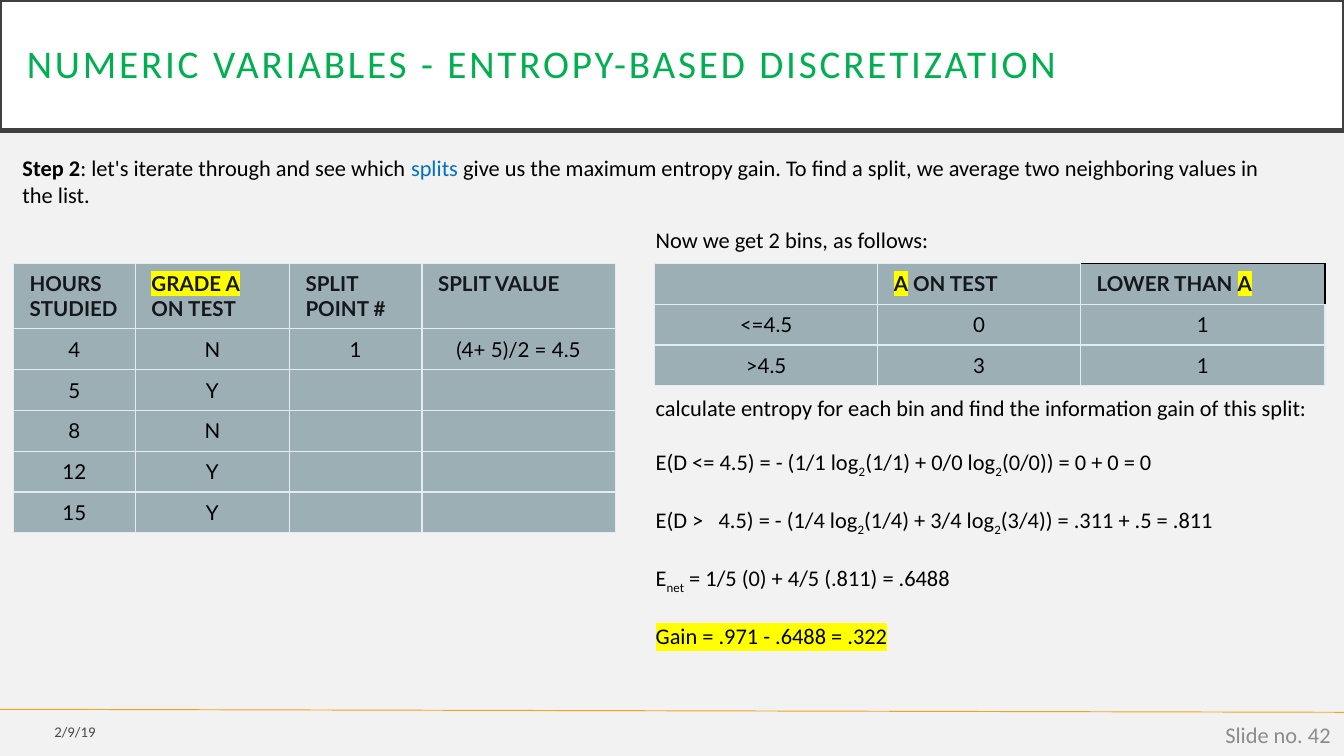
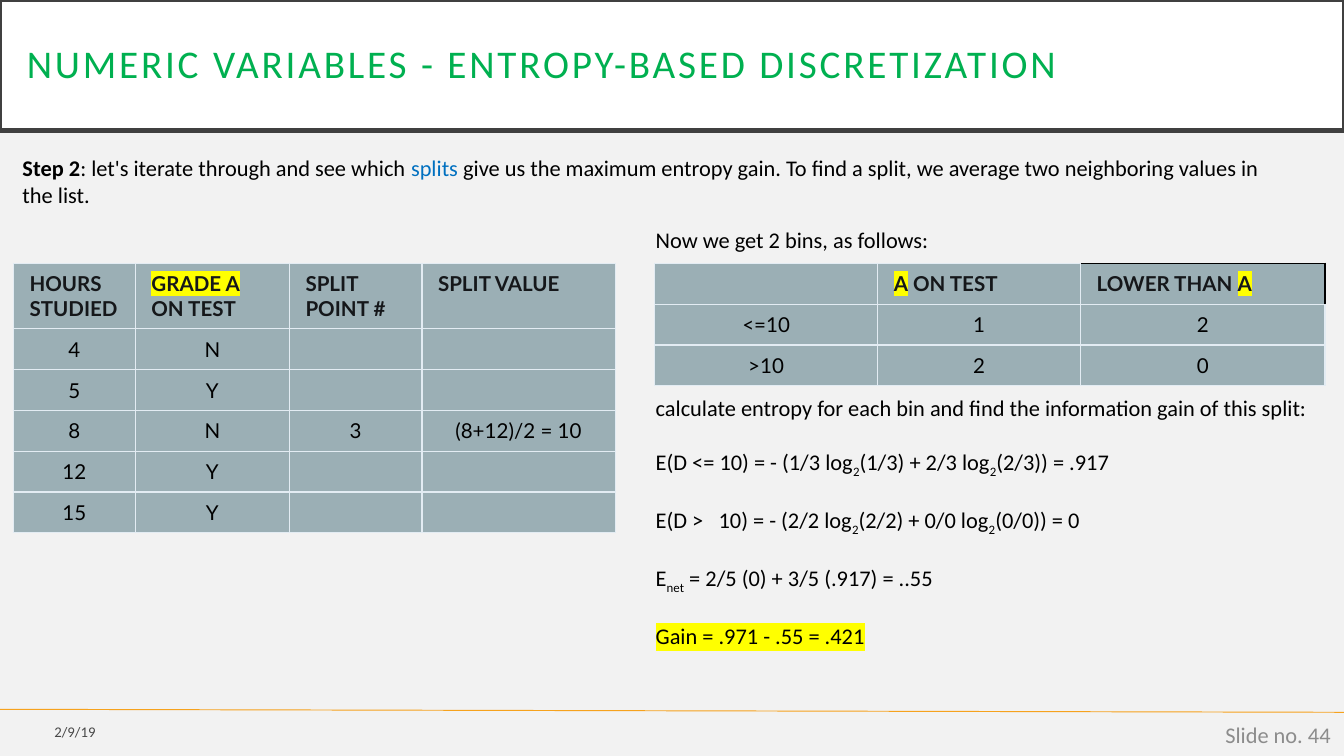
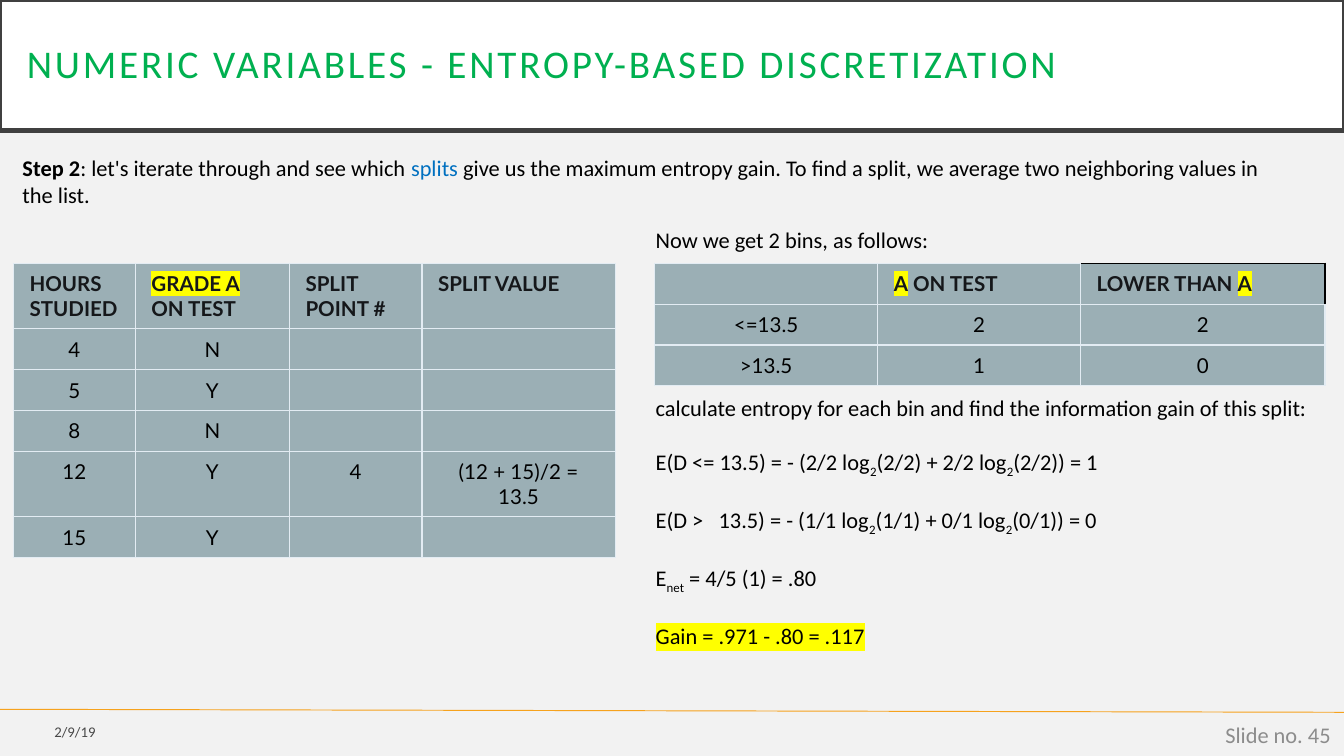
"""Builds three slides that work through entropy-based splits of numeric data."""
import lxml.etree
import pptx
import pptx.dml.color
import pptx.enum.shapes
import pptx.enum.text
import pptx.oxml.ns
import pptx.util

Pt = pptx.util.Pt
RGBColor = pptx.dml.color.RGBColor
Align = pptx.enum.text.PP_ALIGN
Anchor = pptx.enum.text.MSO_ANCHOR
Fit = pptx.enum.text.MSO_AUTO_SIZE
qn = pptx.oxml.ns.qn
Sub = lxml.etree.SubElement

PAGE = RGBColor(0xF2, 0xF2, 0xF2)
WHITE = RGBColor(0xFF, 0xFF, 0xFF)
BLACK = RGBColor(0x00, 0x00, 0x00)
FRAME = RGBColor(0x40, 0x40, 0x40)
GREEN = RGBColor(0x00, 0xB0, 0x50)
BLUE = RGBColor(0x00, 0x70, 0xC0)
AMBER = RGBColor(0xF6, 0xA2, 0x1D)
GREY = RGBColor(0x8C, 0x8C, 0x8C)
INK = RGBColor(0x15, 0x17, 0x1A)
STEEL = RGBColor(0x9B, 0xAF, 0xB5)
PALE = RGBColor(0xE3, 0xEC, 0xF3)
YELLOW = RGBColor(0xFF, 0xFF, 0x00)

BOLD = {"bold": True}
MARK = {"mark": YELLOW}
LOW = {"base": -25000}
TAB = 33.7

TITLE = "NUMERIC VARIABLES - ENTROPY-BASED DISCRETIZATION"
STEP = [
    ("Step 2", BOLD),
    (": let's iterate through and see which ", {}),
    ("splits", {"color": BLUE}),
    (" give us the maximum entropy gain. To find a split, we average two "
     "neighboring values in the list.", {}),
]
BINS = "Now we get 2 bins, as follows:"
TASK = "calculate entropy for each bin and find the information gain of this split:"
HOURS = [("4", "N"), ("5", "Y"), ("8", "N"), ("12", "Y"), ("15", "Y")]
HEAD = [
    [("HOURS STUDIED", {})],
    [("GRADE A", MARK), (" ON TEST", {})],
    [("SPLIT POINT #", {})],
    [("SPLIT VALUE", {})],
]
TOP = [
    [],
    [("A", MARK), (" ON TEST", {})],
    [("LOWER THAN ", {}), ("A", MARK)],
]
PAGES = [
    {
        "no": 42, "point": 1, "value": "(4+ 5)/2 = 4.5",
        "bins": [("<=4.5", "0", "1"), (">4.5", "3", "1")],
        "sums": ["E(D <= 4.5) = - (1/1 log_2_(1/1) + 0/0 log_2_(0/0)) = 0 + 0 = 0",
                 "E(D >\t4.5) = - (1/4 log_2_(1/4) + 3/4 log_2_(3/4)) = .311 + .5 = .811",
                 "E_net_ = 1/5 (0) + 4/5 (.811) = .6488"],
        "gain": "Gain = .971 - .6488 = .322",
    },
    {
        "no": 44, "point": 3, "value": "(8+12)/2 = 10",
        "bins": [("<=10", "1", "2"), (">10", "2", "0")],
        "sums": ["E(D <= 10) = - (1/3 log_2_(1/3) + 2/3 log_2_(2/3)) = .917",
                 "E(D >\t10) = - (2/2 log_2_(2/2) + 0/0 log_2_(0/0)) = 0",
                 "E_net_ = 2/5 (0) + 3/5 (.917) = ..55"],
        "gain": "Gain = .971 - .55 = .421",
    },
    {
        "no": 45, "point": 4, "value": "(12 + 15)/2 = 13.5",
        "bins": [("<=13.5", "2", "2"), (">13.5", "1", "0")],
        "sums": ["E(D <= 13.5) = - (2/2 log_2_(2/2) + 2/2 log_2_(2/2)) = 1",
                 "E(D >\t13.5) = - (1/1 log_2_(1/1) + 0/1 log_2_(0/1)) = 0",
                 "E_net_ = 4/5 (1) = .80"],
        "gain": "Gain = .971 - .80 = .117",
    },
]


def write(frame, paras, size=12, font="Calibri", color=BLACK, bold=False,
          align=Align.LEFT, anchor=None, gap=0, tight=None, space=None,
          alpha=None, fit=None, wrap=True):
    """Fill a text frame with paragraphs, each a list of (words, format) runs."""
    frame.word_wrap = wrap
    if anchor is not None:
        frame.vertical_anchor = anchor
    if fit is not None:
        frame.auto_size = fit
    for n, runs in enumerate(paras):
        para = frame.add_paragraph() if n else frame.paragraphs[0]
        para.alignment = align
        if n and gap:
            para.space_before = Pt(gap)
        if tight:
            para.line_spacing = tight
        if any("\t" in words for words, form in runs):
            tabs = Sub(para._p.get_or_add_pPr(), qn("a:tabLst"))
            Sub(tabs, qn("a:tab"), pos=str(Pt(TAB)), algn="l")
        if not runs:
            Sub(para._p, qn("a:endParaRPr"), sz=str(size * 100))
        for words, form in runs:
            run = para.add_run()
            run.text = words
            run.font.size = Pt(size)
            run.font.bold = form.get("bold", bold)
            run.font.color.rgb = form.get("color", color)
            props = run._r.get_or_add_rPr()
            if alpha:
                Sub(props.find(".//" + qn("a:srgbClr")), qn("a:alpha"), val=str(alpha * 1000))
            if "mark" in form:
                Sub(Sub(props, qn("a:highlight")), qn("a:srgbClr"), val=str(form["mark"]))
            if "base" in form:
                props.set("baseline", str(form["base"]))
            if space:
                props.set("spc", str(int(space * 100)))
            run.font.name = font


def grid(slide, left, high, widths, row, rows):
    """Add a steel table whose first row is the heading and return it."""
    shape = slide.shapes.add_table(len(rows), len(widths), Pt(left), Pt(141.1),
                                   Pt(sum(widths)), Pt(high))
    table = shape.table
    table.first_row = table.horz_banding = False
    for col, width in zip(table.columns, widths):
        col.width = Pt(width)
    for r, cells in enumerate(rows):
        table.rows[r].height = Pt(row)
        for c, runs in enumerate(cells):
            cell = table.cell(r, c)
            cell.margin_left = cell.margin_right = Pt(8.64)
            cell.margin_top = cell.margin_bottom = Pt(4.32)
            write(cell.text_frame, [runs], size=11, font="Lato",
                  color=BLACK if r else INK, bold=r == 0,
                  align=Align.CENTER if r else Align.LEFT)
            for side in ("L", "R", "T", "B"):
                edge = Sub(cell._tc.get_or_add_tcPr(), qn("a:ln" + side), w=str(Pt(0.75)))
                Sub(Sub(edge, qn("a:solidFill")), qn("a:srgbClr"), val=str(PALE))
            cell.fill.solid()
            cell.fill.fore_color.rgb = STEEL
    shape.height = Pt(high)
    return table


deck = pptx.Presentation()
deck.slide_width, deck.slide_height = Pt(720), Pt(405)
back = deck.slide_master.background.fill
back.solid()
back.fore_color.rgb = PAGE

for page in PAGES:
    slide = deck.slides.add_slide(deck.slide_layouts[6])
    shapes = slide.shapes

    rule = shapes.add_connector(pptx.enum.shapes.MSO_CONNECTOR.STRAIGHT,
                                Pt(0), Pt(380), Pt(720), Pt(381.6))
    rule.line.color.rgb = AMBER
    rule.line.width = Pt(0.5)
    Sub(rule._element.spPr, qn("a:effectLst"))

    band = shapes.add_shape(pptx.enum.shapes.MSO_SHAPE.RECTANGLE,
                            Pt(0), Pt(0), Pt(720), Pt(70))
    band.shadow.inherit = False
    band.fill.solid()
    band.fill.fore_color.rgb = WHITE
    band.line.color.rgb = FRAME
    band.line.width = Pt(2.5)
    inner = band.text_frame
    inner.margin_left = inner.margin_right = Pt(14.4)
    inner.margin_top = inner.margin_bottom = Pt(14.4)
    write(inner, [[(TITLE, {})]], size=21, color=GREEN, anchor=Anchor.MIDDLE,
          tight=0.9, space=1.5)

    sums = [[(bit, LOW if n % 2 else {}) for n, bit in enumerate(line.split("_"))]
            for line in page["sums"]]
    foot = {"align": Align.RIGHT, "anchor": Anchor.MIDDLE}
    grow = {"fit": Fit.SHAPE_TO_FIT_TEXT}
    boxes = [
        ((0, 382.3, 58.3, 19.4), [[("2/9/19", {})]], {"size": 7.9, "alpha": 70, **foot}),
        ((558, 383, 162, 21.6), [[(f"Slide no. {page['no']}", {})]], {"color": GREY, **foot}),
        ((5, 79.2, 686.2, 51.1), [STEP], grow),
        ((344.2, 117.4, 163.4, 21.6), [[(BINS, {})]], {"wrap": False, **grow}),
        ((344.2, 207.7, 369.4, 153), [[(TASK, {})], *sums, [(page["gain"], MARK)]],
         {"gap": 14.65, **grow}),
    ]
    for spot, paras, form in boxes:
        box = shapes.add_textbox(*map(Pt, spot))
        write(box.text_frame, paras, **form)

    rows = [HEAD]
    for n, pair in enumerate(HOURS, 1):
        split = (str(page["point"]), page["value"]) if n == page["point"] else ("", "")
        rows.append([[(word, {})] if word else [] for word in pair + split])
    grid(slide, 7.2, 146.2, [65.3, 82.6, 71, 103.6], 18.7, rows)

    rows = [TOP] + [[[(word, {})] for word in line] for line in page["bins"]]
    table = grid(slide, 350.7, 67, [119.5, 108.7, 131], 15.1, rows)
    for side in ("R", "T"):
        edge = table.cell(0, 2)._tc.tcPr.find(qn("a:ln" + side))
        edge.set("w", str(Pt(1)))
        edge.find(".//" + qn("a:srgbClr")).set("val", str(BLACK))

deck.save("out.pptx")
